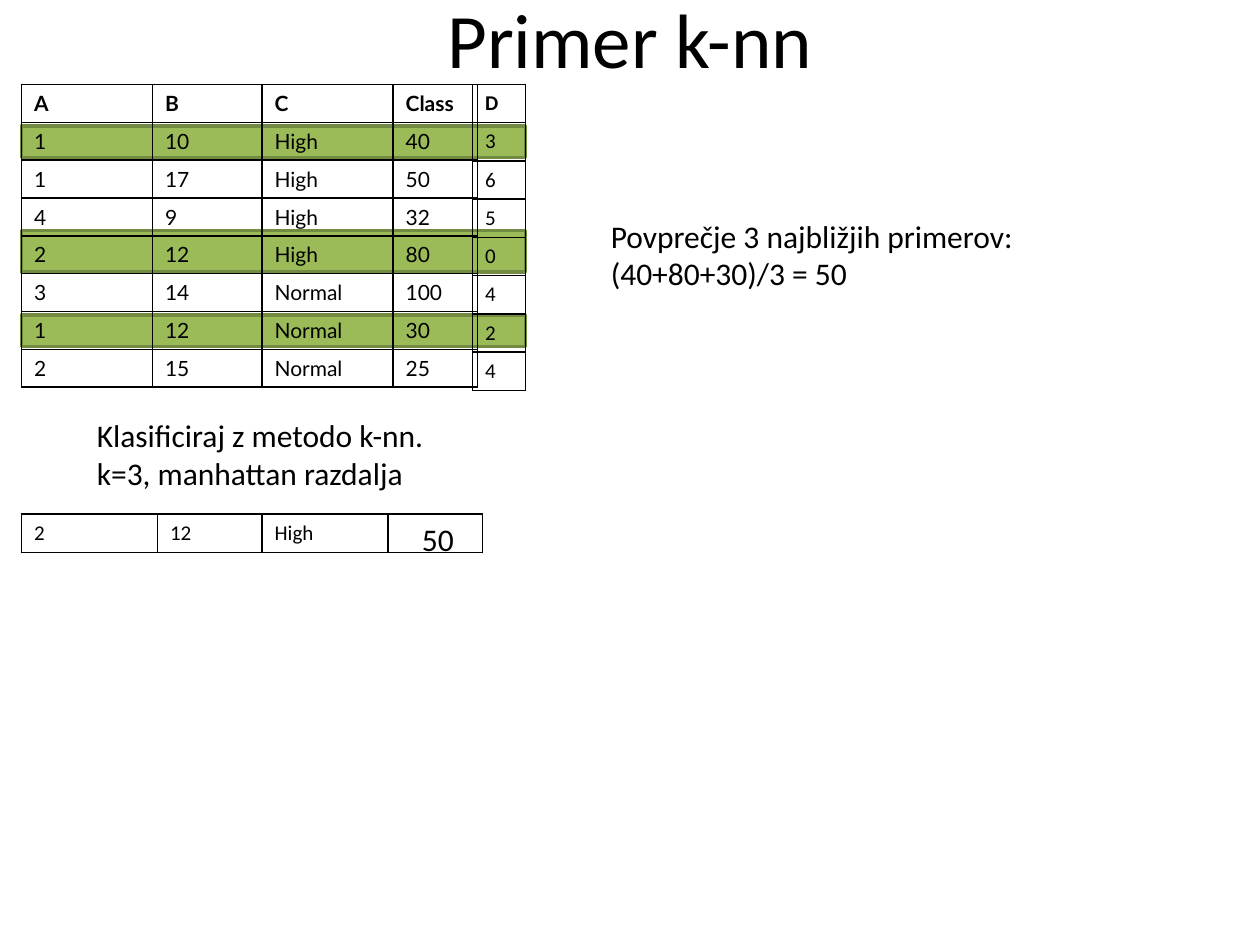
from dataclasses import dataclass

from lxml import etree
from pptx import Presentation
from pptx.dml.color import RGBColor
from pptx.enum.shapes import MSO_SHAPE
from pptx.enum.text import MSO_ANCHOR, PP_ALIGN
from pptx.oxml.ns import qn
from pptx.slide import Slide
from pptx.util import Inches, Pt

RECTANGLE = MSO_SHAPE.RECTANGLE
MIDDLE, TOP = MSO_ANCHOR.MIDDLE, MSO_ANCHOR.TOP
LEFT, CENTER = PP_ALIGN.LEFT, PP_ALIGN.CENTER


@dataclass(frozen=True)
class Theme:
    text: RGBColor = RGBColor(0, 0, 0)
    highlight: RGBColor = RGBColor(0x9B, 0xBB, 0x59)
    highlight_line: RGBColor = RGBColor(0x73, 0x8A, 0x42)
    border: str = "000000"
    font: str = "Calibri"
    data_font: str = "Lato"
    title_size: int = 44
    body_size: int = 18
    table_size: int = 12


@dataclass(frozen=True)
class Highlight:
    top: float
    height: float


@dataclass(frozen=True)
class Label:
    left: float
    top: float
    width: float
    height: float
    lines: tuple[str, ...]
    size: int
    align: PP_ALIGN = LEFT
    anchor: MSO_ANCHOR = TOP
    wrap: bool = False


@dataclass(frozen=True)
class Grid:
    left: float
    top: float
    columns: tuple[float, ...]
    rows: tuple[tuple[str, ...], ...]
    font: str
    header: bool = True


THEME = Theme()
TABLE_LEFT, TABLE_TOP, ROW_HEIGHT = 0.17, 0.67, 0.3
HIGHLIGHT_WIDTH = 4

HIGHLIGHTS = (Highlight(1, 0.25), Highlight(2.5, 0.25), Highlight(1.83, 0.33))

EXAMPLES = (
    ("A", "B", "C", "Class"),
    ("1", "10", "High", "40"),
    ("1", "17", "High", "50"),
    ("4", "9", "High", "32"),
    ("2", "12", "High", "80"),
    ("3", "14", "Normal", "100"),
    ("1", "12", "Normal", "30"),
    ("2", "15", "Normal", "25"),
)
DISTANCES = tuple((value,) for value in "D3650424")

GRIDS = (
    Grid(TABLE_LEFT, TABLE_TOP, (1.04, 0.87, 1.04, 0.67), EXAMPLES, THEME.data_font),
    Grid(TABLE_LEFT, 4.08, (1.08, 0.83, 1, 0.75), (("2", "12", "High", ""),),
         THEME.font, header=False),
    Grid(3.75, TABLE_TOP, (0.42,), DISTANCES, THEME.font),
)

LABELS = (
    Label(0.5, -0.33, 9, 1.25, ("Primer k-nn",), THEME.title_size, CENTER, MIDDLE, True),
    Label(0.67, 3.25, 2.87, 0.71,
          ("Klasificiraj z metodo k-nn.", "k=3, manhattan razdalja"), THEME.body_size),
    Label(3.25, 4.08, 0.46, 0.4, ("50",), THEME.body_size),
    Label(4.75, 1.67, 3.43, 0.71,
          ("Povprečje 3 najbližjih primerov:", "(40+80+30)/3 = 50"), THEME.body_size),
)


def write_run(paragraph, text: str, font: str, size: int, bold: bool = False) -> None:
    run = paragraph.add_run()
    run.text = text
    formats = {"name": font, "size": Pt(size), "bold": bold}
    for name, value in formats.items():
        setattr(run.font, name, value)
    run.font.color.rgb = THEME.text


def draw_highlight(slide: Slide, highlight: Highlight) -> None:
    shape = slide.shapes.add_shape(
        RECTANGLE, Inches(TABLE_LEFT), Inches(highlight.top),
        Inches(HIGHLIGHT_WIDTH), Inches(highlight.height))
    shape.shadow.inherit = False
    shape.fill.solid()
    shape.fill.fore_color.rgb = THEME.highlight
    shape.line.color.rgb = THEME.highlight_line
    shape.line.width = Pt(2)


def draw_label(slide: Slide, label: Label) -> None:
    shape = slide.shapes.add_textbox(
        Inches(label.left), Inches(label.top), Inches(label.width), Inches(label.height))
    frame = shape.text_frame
    formats = {"word_wrap": label.wrap, "vertical_anchor": label.anchor}
    for name, value in formats.items():
        setattr(frame, name, value)
    for index, line in enumerate(label.lines):
        paragraph = frame.add_paragraph() if index else frame.paragraphs[0]
        paragraph.alignment = label.align
        write_run(paragraph, line, THEME.font, label.size)


def add_borders(cell) -> None:
    properties = cell._tc.get_or_add_tcPr()
    for side in ("a:lnL", "a:lnR", "a:lnT", "a:lnB"):
        line = etree.SubElement(properties, qn(side), w=str(Pt(1)))
        fill = etree.SubElement(line, qn("a:solidFill"))
        etree.SubElement(fill, qn("a:srgbClr"), val=THEME.border)


def draw_grid(slide: Slide, grid: Grid) -> None:
    shape = slide.shapes.add_table(
        len(grid.rows), len(grid.columns), Inches(grid.left), Inches(grid.top),
        Inches(sum(grid.columns)), Inches(ROW_HEIGHT * len(grid.rows)))
    table = shape.table
    table.first_row = table.horz_banding = False
    for column, width in zip(table.columns, grid.columns):
        column.width = Inches(width)
    for row_index, values in enumerate(grid.rows):
        table.rows[row_index].height = Inches(ROW_HEIGHT)
        for column_index, value in enumerate(values):
            cell = table.cell(row_index, column_index)
            add_borders(cell)
            cell.fill.background()
            paragraph = cell.text_frame.paragraphs[0]
            if value:
                write_run(paragraph, value, grid.font, THEME.table_size,
                          bold=grid.header and row_index == 0)
            else:
                # An empty cell keeps the table's type size so its row does not grow
                etree.SubElement(paragraph._p, qn("a:endParaRPr"),
                                 sz=str(THEME.table_size * 100))


def main() -> None:
    presentation = Presentation()
    presentation.slide_width, presentation.slide_height = Inches(10), Inches(7.5)
    slide = presentation.slides.add_slide(presentation.slide_layouts[6])

    # Nearest examples, marked behind the tables
    for highlight in HIGHLIGHTS:
        draw_highlight(slide, highlight)

    # Examples, new case and distances
    for grid in GRIDS:
        draw_grid(slide, grid)

    # Title, task and result
    for label in LABELS:
        draw_label(slide, label)

    presentation.save("out.pptx")


if __name__ == "__main__":
    main()
